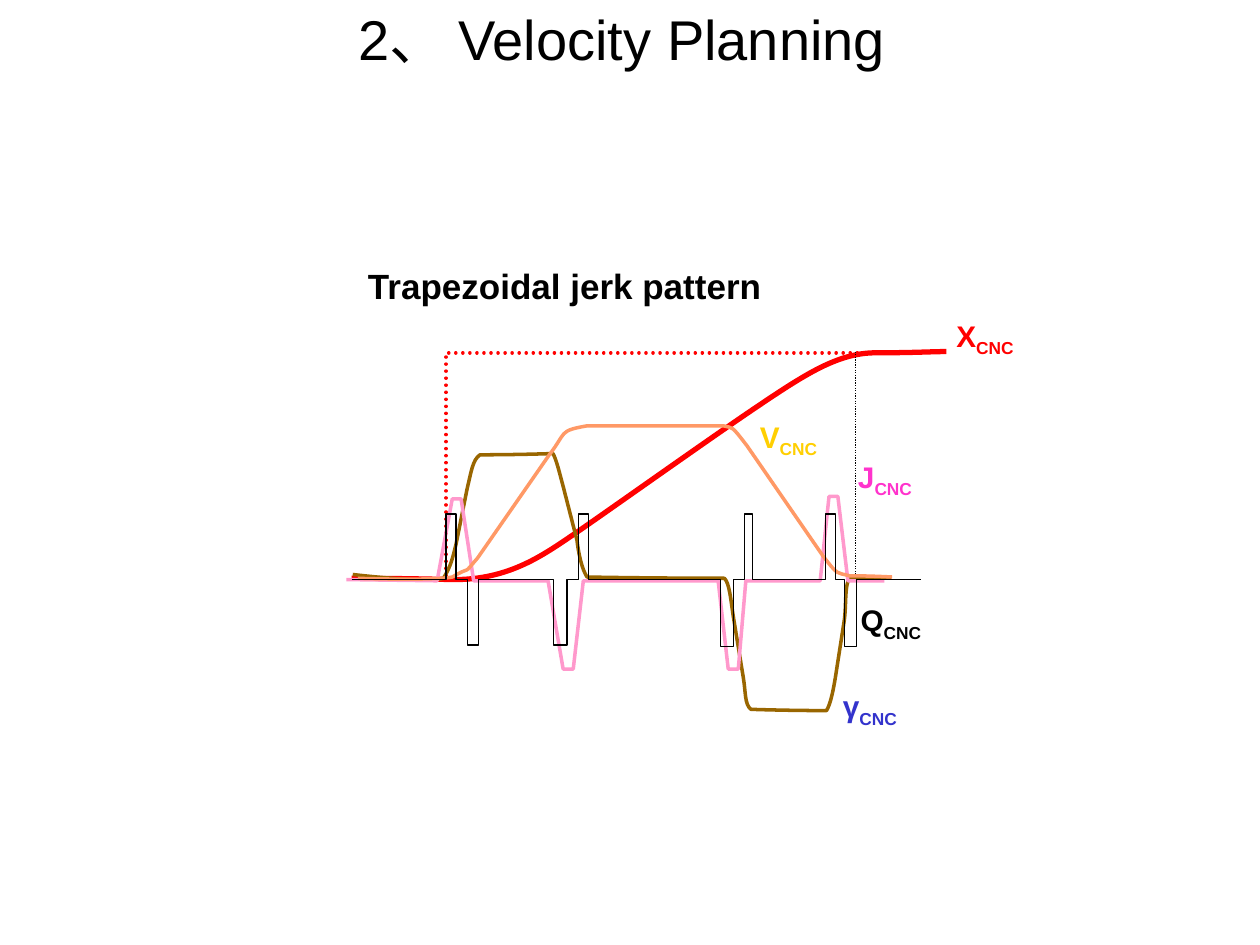
from lxml import etree
from pptx import Presentation
from pptx.dml.color import RGBColor
from pptx.enum.dml import MSO_LINE
from pptx.enum.shapes import MSO_CONNECTOR as Connector
from pptx.enum.text import MSO_ANCHOR as Anchor, PP_ALIGN as Align
from pptx.oxml.ns import qn
from pptx.util import Inches, Pt

BLACK = RGBColor(0x00, 0x00, 0x00)
RED = RGBColor(0xFF, 0x00, 0x00)
BROWN = RGBColor(0x99, 0x66, 0x00)
PINK = RGBColor(0xFF, 0x99, 0xCC)
MAGENTA = RGBColor(0xFF, 0x33, 0xCC)
ORANGE = RGBColor(0xFF, 0x99, 0x66)
YELLOW = RGBColor(0xFF, 0xCF, 0x01)
BLUE = RGBColor(0x33, 0x33, 0xCC)

FONT = "Arial"
BASELINE = 2.6

POSITION = [
    (0.79, 2.59), (0.92, 2.59, 1.17, 2.59, 1.6, 2.6),
    (2.03, 2.6, 2.29, 2.42, 2.54, 2.25), (2.79, 2.08, 3.59, 1.51, 3.99, 1.24),
    (4.39, 0.97, 4.65, 0.8, 4.95, 0.8), (5.25, 0.8, 5.4, 0.79, 5.51, 0.79),
]
VELOCITY = [
    (0.84, 2.59), (0.84, 2.59, 1.43, 2.61, 1.59, 2.58),
    (1.76, 2.48, 1.66, 2.58, 1.79, 2.43), (2.36, 1.61),
    (2.5, 1.43, 2.43, 1.42, 2.66, 1.38), (3.2, 1.38, 3.74, 1.38, 3.74, 1.38),
    (3.82, 1.4, 3.8, 1.37, 3.93, 1.54), (4.53, 2.41),
    (4.66, 2.58, 4.64, 2.54, 4.74, 2.57), (4.91, 2.57, 5.08, 2.58, 5.08, 2.58),
]
ACCELERATION = [
    (0.8, 2.56), (0.8, 2.56, 1.39, 2.63, 1.52, 2.59),
    (1.58, 2.49, 1.59, 2.44, 1.62, 2.32), (1.71, 1.87),
    (1.74, 1.75, 1.75, 1.65, 1.81, 1.61), (2.11, 1.61, 2.39, 1.6, 2.39, 1.6),
    (2.42, 1.66, 2.44, 1.75, 2.47, 1.86), (2.58, 2.29),
    (2.58, 2.29, 2.6, 2.49, 2.66, 2.58), (3.2, 2.59, 3.75, 2.59, 3.75, 2.59),
    (3.79, 2.63, 3.8, 2.76, 3.82, 2.89), (3.9, 3.38),
    (3.92, 3.5, 3.91, 3.59, 3.96, 3.63), (4.26, 3.64, 4.56, 3.64, 4.56, 3.64),
    (4.59, 3.59, 4.61, 3.5, 4.63, 3.38), (4.7, 2.93),
    (4.72, 2.8, 4.7, 2.63, 4.75, 2.58), (4.91, 2.58, 5.07, 2.58, 5.07, 2.58),
]
JERK_PULSES = [
    (1.47, 1.59, 1.66, 1.76, 1.96), (2.35, 2.47, 2.55, 2.63, 3.31),
    (3.7, 3.78, 3.86, 3.92, 3.31), (4.51, 4.58, 4.65, 4.73, 1.94),
]
SNAP_PULSES = [
    (1.54, 1.62, 2.08), (1.71, 1.8, 3.12), (2.39, 2.5, 3.12), (2.59, 2.67, 2.08),
    (3.72, 3.82, 3.13), (3.91, 3.97, 2.08), (4.55, 4.63, 2.08), (4.7, 4.8, 3.13),
]
LABELS = [
    ("X", 5.59, 0.52, RED), ("V", 4.03, 1.32, YELLOW), ("J", 4.81, 1.64, MAGENTA),
    ("Q", 4.83, 2.78, BLACK), ("γ", 4.69, 3.46, BLUE),
]


def add_span(para, text, size=17, color=BLACK, bold=False, baseline=None):
    span = para.add_run()
    span.text = text
    font = span.font
    font.name, font.size, font.bold = FONT, Pt(size), bold
    font.color.rgb = color
    if baseline is not None:
        span._r.get_or_add_rPr().set("baseline", str(baseline))


def add_text_box(page, left, top, width, height, inset=(0, 0)):
    box = page.shapes.add_textbox(Inches(left), Inches(top), Inches(width), Inches(height))
    frame = box.text_frame
    frame.word_wrap = True
    frame.margin_left = frame.margin_right = Inches(inset[0])
    frame.margin_top = frame.margin_bottom = Inches(inset[1])
    return frame.paragraphs[0]


def bend_curves(trace, segments):
    strokes = iter(list(trace._element.iter(qn("a:lnTo"))))
    for segment in segments[1:]:
        first = next(strokes)
        if len(segment) == 6:
            first.tag = qn("a:cubicBezTo")
            for stroke in (next(strokes), next(strokes)):
                first.append(stroke[0])
                stroke.getparent().remove(stroke)


def add_trace(page, box, segments, color, width, dotted=False):
    left, top = box
    points = [(Inches(left + x), Inches(top + y))
              for segment in segments
              for x, y in zip(segment[::2], segment[1::2])]
    builder = page.shapes.build_freeform(*points[0], scale=1.0)
    builder.add_line_segments(points[1:], close=False)
    trace = builder.convert_to_shape()
    bend_curves(trace, segments)
    trace.shadow.inherit = False
    trace.fill.background()
    trace.line.color.rgb = color
    trace.line.width = Pt(width)
    if dotted:
        trace.line.dash_style = MSO_LINE.ROUND_DOT
        trace._element.spPr.find(qn("a:ln")).set("cap", "rnd")


def jerk_points():
    level = BASELINE + 0.01
    points = [(0.75, BASELINE)]
    for rise, peak_start, peak_end, fall, peak in JERK_PULSES:
        points += [(rise, level), (peak_start, peak), (peak_end, peak), (fall, level)]
    return points + [(5.02, level)]


def snap_points():
    points = [(0.79, BASELINE)]
    for start, end, peak in SNAP_PULSES:
        points += [(start, BASELINE), (start, peak), (end, peak), (end, BASELINE)]
    return points + [(5.31, BASELINE)]


def add_end_marker(page, box):
    left, top = box
    x = Inches(left + 4.79)
    marker = page.shapes.add_connector(
        Connector.STRAIGHT, x, Inches(top + 0.79), x, Inches(top + 2.63))
    marker.line.color.rgb = BLACK
    marker.line.width = Pt(0.75)
    marker.line.dash_style = MSO_LINE.ROUND_DOT
    etree.SubElement(marker._element.spPr, qn("a:effectLst"))


def add_motion_plot(page, box):
    left, top = box
    heading = add_text_box(page, left + 0.84, top + 0.06, 3.68, 0.42, inset=(0.08, 0.04))
    add_span(heading, "Trapezoidal jerk pattern", size=20, bold=True)
    command = [(0.79, BASELINE), (1.54, BASELINE), (1.54, 0.8), (5.26, 0.8)]
    add_trace(page, box, command, RED, 2, dotted=True)
    add_trace(page, box, POSITION, RED, 3)
    add_trace(page, box, ACCELERATION, BROWN, 2)
    add_end_marker(page, box)
    add_trace(page, box, jerk_points(), PINK, 2)
    add_trace(page, box, VELOCITY, ORANGE, 2)
    add_trace(page, box, snap_points(), BLACK, 0.75)
    for symbol, x, y, color in LABELS:
        width, height = (0.78, 0.5) if symbol == "V" else (0.97, 0.6)
        para = add_text_box(page, left + x, top + y, width, height)
        add_span(para, symbol, color=color, bold=True)
        add_span(para, "CNC", color=color, bold=True, baseline=-25000)


def add_title(page, left, top, width, height):
    title = page.shapes.title
    title.left, title.top = Inches(left), Inches(top)
    title.width, title.height = Inches(width), Inches(height)
    title.text_frame.vertical_anchor = Anchor.MIDDLE
    para = title.text_frame.paragraphs[0]
    para.alignment = Align.CENTER
    add_span(para, "2、 Velocity Planning ", size=32)


def main():
    deck = Presentation()
    deck.slide_width, deck.slide_height = Inches(10), Inches(7.5)
    page = deck.slides.add_slide(deck.slide_layouts[5])
    add_title(page, 0, 0, 10, 0.61)
    add_motion_plot(page, (2, 2))
    deck.save("out.pptx")


if __name__ == "__main__":
    main()
